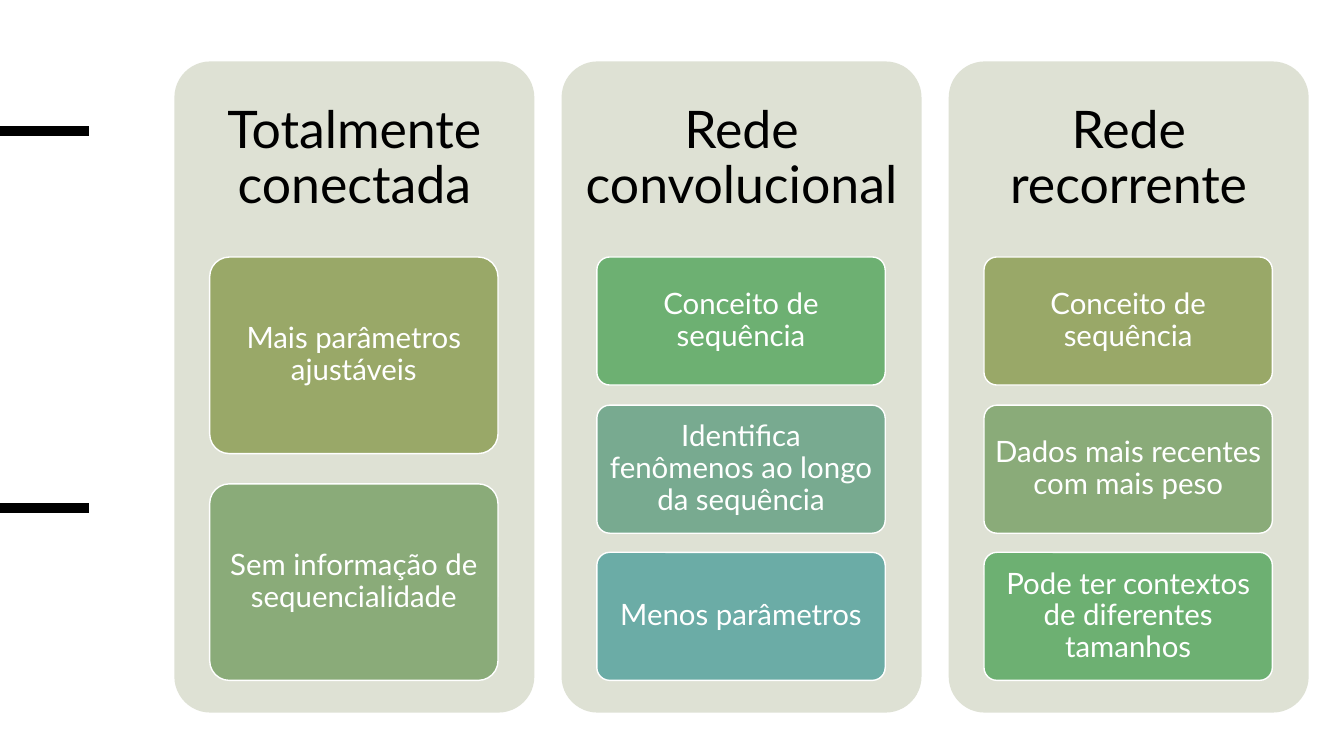
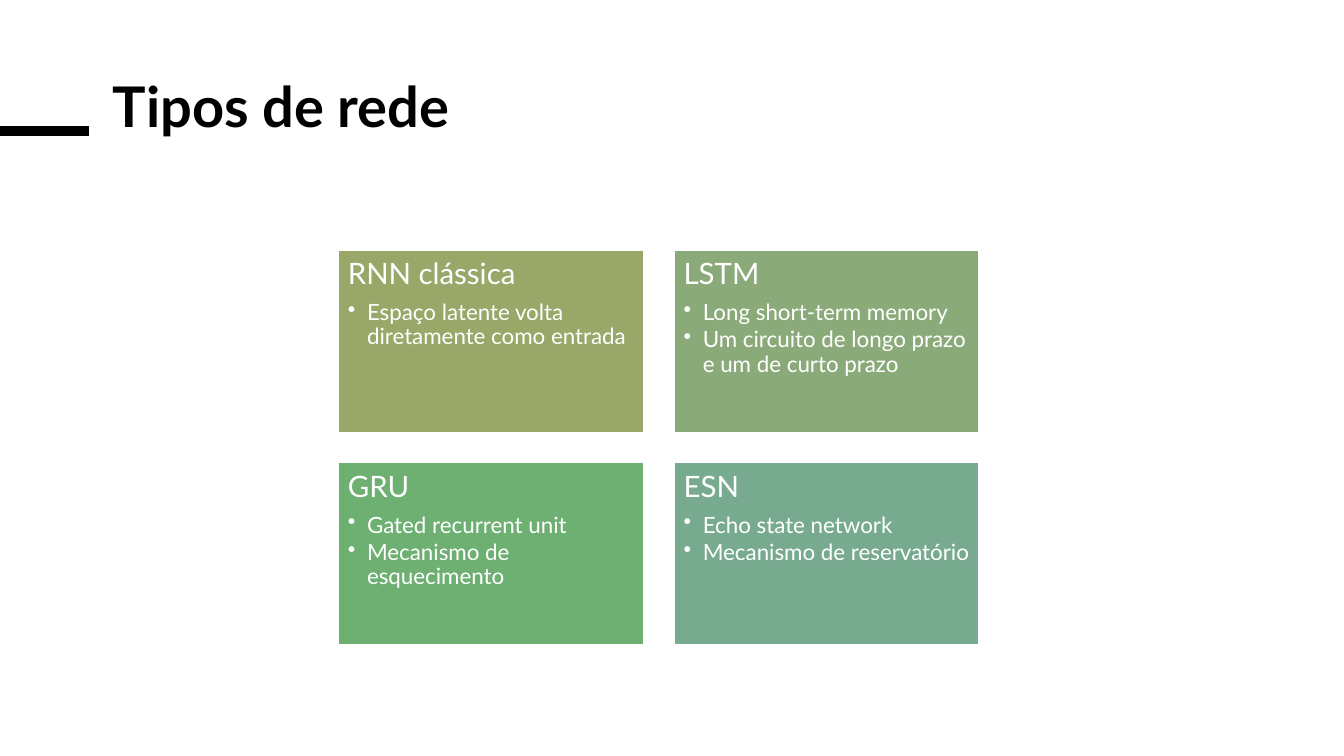
"""Builds two slides that compare kinds of neural network."""
from lxml import etree
from pptx import Presentation
from pptx.dml.color import RGBColor
from pptx.enum.shapes import MSO_CONNECTOR, MSO_SHAPE
from pptx.enum.text import MSO_ANCHOR, PP_ALIGN
from pptx.oxml.ns import qn
from pptx.util import Pt

PX = 9144
FONT = "Lato"
ROUND, RECT = MSO_SHAPE.ROUNDED_RECTANGLE, MSO_SHAPE.RECTANGLE
LINE = MSO_CONNECTOR.STRAIGHT
TOP, MID = MSO_ANCHOR.TOP, MSO_ANCHOR.MIDDLE
LEFT, MIDDLE = PP_ALIGN.LEFT, PP_ALIGN.CENTER
BLACK = RGBColor(0x00, 0x00, 0x00)
WHITE = RGBColor(0xFF, 0xFF, 0xFF)
PANEL = RGBColor(0xDE, 0xE1, 0xD4)
OLIVE = RGBColor(0x99, 0xA8, 0x68)
SAGE = RGBColor(0x8A, 0xAB, 0x79)
GREEN = RGBColor(0x6D, 0xB0, 0x72)
MINT = RGBColor(0x78, 0xAA, 0x90)
TEAL = RGBColor(0x6B, 0xAC, 0xA6)

COLUMNS = [
    ("Totalmente conectada", [
        ("Mais parâmetros ajustáveis", OLIVE),
        ("Sem informação de sequencialidade", SAGE)]),
    ("Rede convolucional", [
        ("Conceito de sequência", GREEN),
        ("Identifica fenômenos ao longo da sequência", MINT),
        ("Menos parâmetros", TEAL)]),
    ("Rede recorrente", [
        ("Conceito de sequência", OLIVE),
        ("Dados mais recentes com mais peso", SAGE),
        ("Pode ter contextos de diferentes tamanhos", GREEN)]),
]
TYPES = [
    ("RNN clássica", OLIVE, ["Espaço latente volta diretamente como entrada"]),
    ("LSTM", SAGE, ["Long short-term memory",
                    "Um circuito de longo prazo e um de curto prazo"]),
    ("GRU", GREEN, ["Gated recurrent unit", "Mecanismo de esquecimento"]),
    ("ESN", MINT, ["Echo state network", "Mecanismo de reservatório"]),
]


def apply(item, values):
    """Set each named attribute of an item."""
    for name, value in values.items():
        setattr(item, name, value)


class Deck:
    """Holds the style and the current slide."""

    def __init__(self):
        """Start an empty wide deck."""
        self.show = Presentation()
        apply(self.show, {"slide_width": 1333 * PX, "slide_height": 750 * PX})
        self.slide = None

    def page(self):
        """Add a blank slide with its side tick."""
        self.slide = self.show.slides.add_slide(self.show.slide_layouts[6])
        self.tick(130)

    def tick(self, y, width=6.75):
        """Draw a thick line from the left edge."""
        tick = self.slide.shapes.add_connector(LINE, 0, y * PX, 88 * PX, y * PX)
        tick.line.width = Pt(width)
        tick.line.color.rgb = BLACK
        etree.SubElement(tick._element.spPr, qn("a:effectLst"))

    def box(self, kind, at, fill, edge=None):
        """Draw a filled shape with an optional edge."""
        shape = self.slide.shapes.add_shape(kind, *(n * PX for n in at))
        shape.shadow.inherit = False
        shape.fill.solid()
        shape.fill.fore_color.rgb = fill
        if kind == ROUND:
            shape.adjustments[0] = 0.1
        if edge is None:
            shape.line.fill.background()
        else:
            shape.line.color.rgb = edge
            shape.line.width = Pt(1)
        return shape

    def label(self, at):
        """Add an empty text box."""
        return self.slide.shapes.add_textbox(*(n * PX for n in at))

    def text(self, shape, words, size, color, pad, anchor=MID, align=MIDDLE,
             lead=0.9, bold=False, points=()):
        """Put a heading and its bullet points into a shape."""
        frame = shape.text_frame
        side, edge = (n * PX for n in pad)
        apply(frame, {"word_wrap": True, "vertical_anchor": anchor,
                      "margin_left": side, "margin_right": side,
                      "margin_top": edge, "margin_bottom": edge})
        head = frame.paragraphs[0]
        self.run(head, words, size, color, align, lead, bold)
        if points:
            head.space_after = Pt(size * 0.35)
        for point in points:
            para = frame.add_paragraph()
            self.run(para, point, 16, color, align, lead, bold)
            apply(para, {"level": 1, "space_after": Pt(2.4)})
            props = para._p.get_or_add_pPr()
            props.set("marL", str(19 * PX))
            props.set("indent", str(-19 * PX))
            etree.SubElement(props, qn("a:buChar"), char="•")

    def run(self, para, words, size, color, align, lead, bold):
        """Put one styled run into a paragraph."""
        apply(para, {"alignment": align, "line_spacing": lead})
        run = para.add_run()
        run.text = words
        apply(run.font, {"name": FONT, "size": Pt(size), "bold": bold})
        run.font.color.rgb = color

    def column(self, x, title, cards):
        """Draw a panel with a title and a stack of cards."""
        self.box(ROUND, (x, 61, 357, 646), PANEL)
        self.text(self.label((x, 61, 357, 194)), title, 37, BLACK, (15, 15))
        count = len(cards)
        tall = 420 / (count + (count - 1) * 2 / 13)
        step = tall * 15 / 13
        for row, (words, color) in enumerate(cards):
            at = (x + 35, round(255 + row * step), 286, round(tall))
            card = self.box(ROUND, at, color, WHITE)
            self.text(card, words, 21, WHITE, (6, 4))

    def tile(self, x, y, title, color, points):
        """Draw a tile with bullet points."""
        tile = self.box(RECT, (x, y, 302, 181), color, WHITE)
        self.text(tile, title, 21, WHITE, (9, 9), TOP, LEFT, points=points)


def main():
    """Build and save both slides."""
    deck = Deck()
    deck.page()
    deck.tick(504, 6.5)
    for place, (title, cards) in enumerate(COLUMNS):
        deck.column(173 + place * 384, title, cards)

    deck.page()
    deck.text(deck.label((102, 76, 412, 256)), "Tipos de rede", 40, BLACK,
              (10, 5), TOP, LEFT, lead=0.85, bold=True)
    for place, (title, color, points) in enumerate(TYPES):
        row, col = divmod(place, 2)
        deck.tile(336 + col * 333, 248 + row * 211, title, color, points)
    deck.show.save("out.pptx")


if __name__ == "__main__":
    main()
